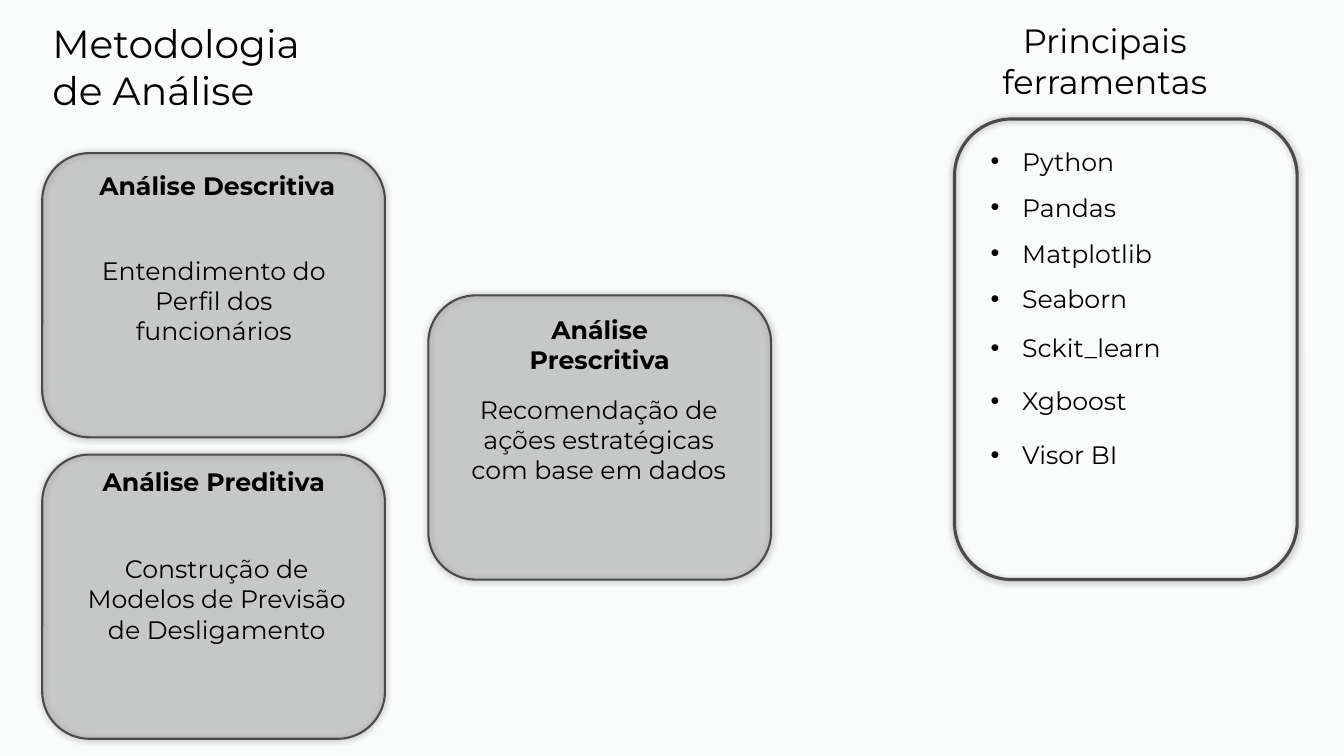
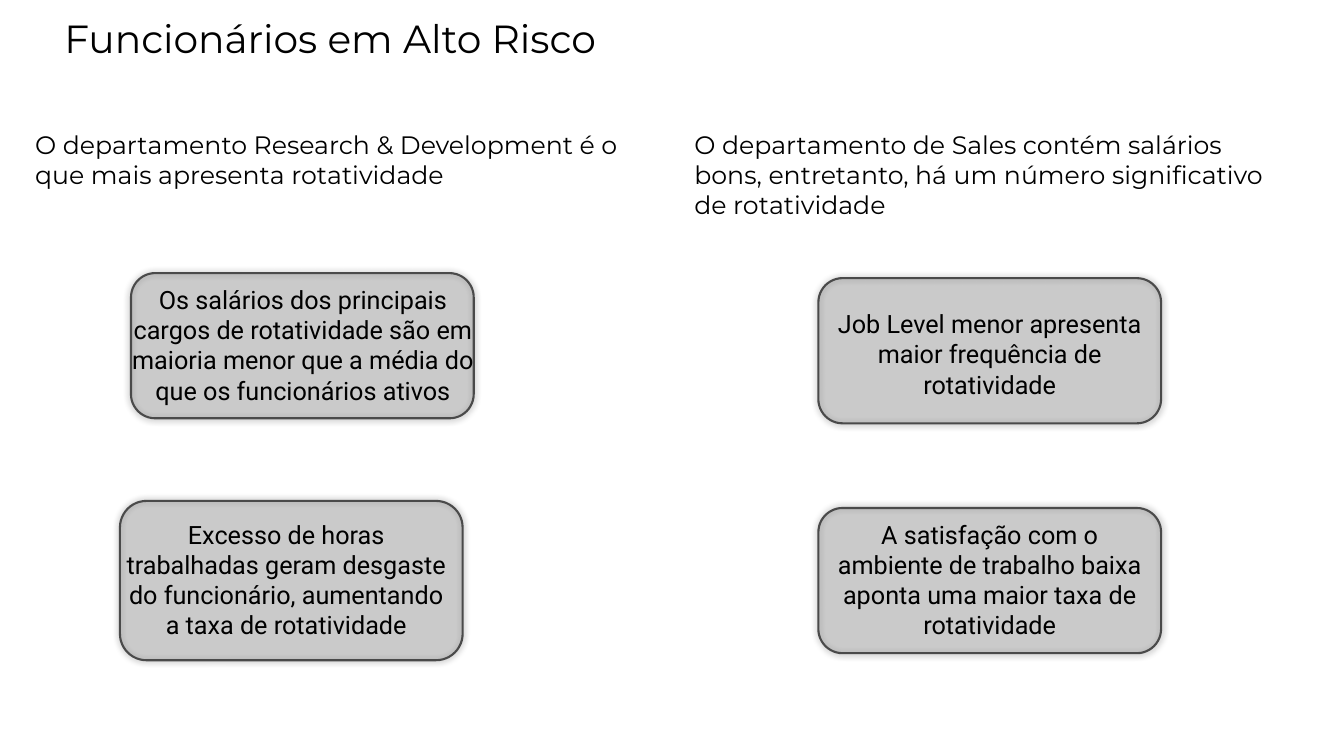
from dataclasses import dataclass
from typing import NamedTuple

from lxml import etree
from pptx import Presentation
from pptx import util as u
from pptx.dml.color import RGBColor
from pptx.enum import shapes, text
from pptx.oxml.ns import qn

SLIDE_WIDTH, SLIDE_HEIGHT = 960, 540
CARD_WIDTH = 244.8
INK, GREY, MIST = "000000", "4A4A4A", "F4F6F7"
TITLE_FONT, CARD_FONT = "Montserrat", "Roboto"
TITLE_SIZE, SUBTITLE_SIZE, BODY_SIZE = 28, 24, 18
BULLET_INDENT = 22.5
LEFT, CENTER = text.PP_ALIGN.LEFT, text.PP_ALIGN.CENTER


class Box(NamedTuple):
    left: float
    top: float
    width: float
    height: float

    def lengths(self) -> tuple:
        return tuple(u.Pt(value) for value in self)


@dataclass(frozen=True)
class Analysis:
    heading: str
    summary: str
    card: Box
    heading_box: Box
    summary_box: Box


@dataclass(frozen=True)
class Finding:
    words: str
    card: Box
    words_box: Box


class Tool(NamedTuple):
    name: str
    gap_before: float


ANALYSES = [
    Analysis("Análise Descritiva", "Entendimento do Perfil dos funcionários",
             Box(30.2, 109.4, CARD_WIDTH, 203),
             Box(60.5, 118.1, 189.4, 29), Box(49.7, 178.6, 206, 72.7)),
    Analysis("Análise Preditiva", "Construção de Modelos de Previsão de Desligamento",
             Box(30.2, 324.7, CARD_WIDTH, 203),
             Box(63.4, 329.8, 178.6, 29), Box(51.8, 391.7, 206, 72.7)),
    Analysis("Análise Prescritiva", "Recomendação de ações estratégicas com base em dados",
             Box(306, 211, CARD_WIDTH, 203),
             Box(334.8, 221, 187.2, 51), Box(324.7, 277.9, 206, 72.7)),
]

TOOLS = [
    Tool("Python", 0), Tool("Pandas", 11.2), Tool("Matplotlib", 11.2),
    Tool("Seaborn", 11.2), Tool("Sckit_learn", 13.3), Tool("Xgboost", 16.2),
    Tool("Visor BI", 16.9),
]

DEPARTMENTS = [
    ("O departamento Research & Development é o que mais apresenta rotatividade",
     Box(18, 88.6, 435.6, 51.1)),
    ("O departamento de Sales contém salários bons, entretanto, "
     "há um número significativo de rotatividade",
     Box(488.9, 88.6, 435.6, 72.7)),
]

FINDINGS = [
    Finding("Os salários dos principais cargos de rotatividade são em maioria menor "
            "que a média do que os funcionários ativos",
            Box(93.6, 195.1, CARD_WIDTH, 103.7), Box(82.1, 199.4, 268.6, 94.3)),
    Finding("A satisfação com o ambiente de trabalho baixa aponta uma maior taxa "
            "de rotatividade",
            Box(584.6, 362.9, CARD_WIDTH, 103.7), Box(584.6, 367.2, CARD_WIDTH, 94.3)),
    Finding("Job Level menor apresenta maior frequência de rotatividade",
            Box(584.6, 198.7, CARD_WIDTH, 103.7), Box(584.6, 216.7, CARD_WIDTH, 72.7)),
    Finding("Excesso de horas trabalhadas geram desgaste do funcionário, aumentando "
            "a taxa de rotatividade",
            Box(85.7, 357.8, CARD_WIDTH, 113.8), Box(82.1, 367.2, CARD_WIDTH, 94.3)),
]


def rgb(color: str) -> RGBColor:
    return RGBColor.from_string(color)


def style_paragraph(para, size: float, font: str = TITLE_FONT,
                    align=LEFT, bold: bool = False) -> None:
    para.alignment = align
    para.font.name = font
    para.font.size = u.Pt(size)
    para.font.bold = bold
    para.font.color.rgb = rgb(INK)


def fit_frame(frame) -> None:
    """Wrap the text and let the box grow with it."""
    frame.word_wrap = True
    frame.auto_size = text.MSO_AUTO_SIZE.SHAPE_TO_FIT_TEXT
    frame.vertical_anchor = text.MSO_ANCHOR.TOP


def add_text(canvas, box: Box, words: str, size: float = BODY_SIZE,
             font: str = TITLE_FONT, align=LEFT, bold: bool = False) -> None:
    frame = canvas.add_textbox(*box.lengths()).text_frame
    fit_frame(frame)
    frame.text = words
    style_paragraph(frame.paragraphs[0], size, font, align, bold)


def fill_translucent(shape, color: str, percent: int) -> None:
    shape.fill.solid()
    shape.fill.fore_color.rgb = rgb(color)
    tint = shape._element.spPr.find(qn("a:solidFill"))[0]
    etree.SubElement(tint, qn("a:alpha"), val=str(percent * 1000))


def add_glow_shadow(shape) -> None:
    """Soft shadow spreading evenly on all sides."""
    shape.shadow.inherit = False
    effects = shape._element.spPr.find(qn("a:effectLst"))
    shadow = etree.SubElement(effects, qn("a:outerShdw"), blurRad=str(u.Pt(5)),
                              dist="0", dir="0", algn="ctr", rotWithShape="0")
    tint = etree.SubElement(shadow, qn("a:srgbClr"), val=INK)
    etree.SubElement(tint, qn("a:alpha"), val="40000")


def add_card(canvas, box: Box, filled: bool = True, line_width: float = 1.5) -> None:
    card = canvas.add_shape(shapes.MSO_SHAPE.ROUNDED_RECTANGLE, *box.lengths())
    if filled:
        fill_translucent(card, GREY, 20)
    else:
        card.fill.background()
    card.line.color.rgb = rgb(GREY)
    card.line.width = u.Pt(line_width)
    add_glow_shadow(card)


def add_titled_slide(deck, words: str, box: Box, align=LEFT):
    page = deck.slides.add_slide(deck.slide_layouts[5])
    title = page.shapes.title
    title.left, title.top, title.width, title.height = box.lengths()
    fit_frame(title.text_frame)
    title.text_frame.text = words
    style_paragraph(title.text_frame.paragraphs[0], TITLE_SIZE, align=align)
    return page


def add_backdrop(page) -> None:
    """Pale veil over the whole slide, behind its title."""
    area = Box(0, 0, SLIDE_WIDTH, SLIDE_HEIGHT)
    veil = page.shapes.add_shape(shapes.MSO_SHAPE.RECTANGLE, *area.lengths())
    fill_translucent(veil, MIST, 40)
    veil.line.fill.background()
    veil.shadow.inherit = False
    page.shapes.title._element.addprevious(veil._element)


def add_tool_list(canvas, box: Box, tools: list[Tool]) -> None:
    frame = canvas.add_textbox(*box.lengths()).text_frame
    fit_frame(frame)
    frame.text = "\n".join(tool.name for tool in tools)
    for para, tool in zip(frame.paragraphs, tools):
        style_paragraph(para, BODY_SIZE)
        para.space_before = u.Pt(tool.gap_before)
        props = para._p.get_or_add_pPr()
        props.set("marL", str(u.Pt(BULLET_INDENT)))
        props.set("indent", str(-u.Pt(BULLET_INDENT)))
        etree.SubElement(props, qn("a:buFont"), typeface="Arial")
        etree.SubElement(props, qn("a:buChar"), char="•")
        # The schema wants the bullet ahead of the default run properties.
        props.append(props.find(qn("a:defRPr")))


def build_methodology(deck) -> None:
    page = add_titled_slide(deck, "Metodologia de Análise", Box(30.2, 10.1, 213.1, 74.9))
    add_backdrop(page)
    canvas = page.shapes
    for analysis in ANALYSES:
        add_card(canvas, analysis.card)
        add_text(canvas, analysis.heading_box, analysis.heading, align=CENTER, bold=True)
        add_text(canvas, analysis.summary_box, analysis.summary, align=CENTER)
    add_text(canvas, Box(665.3, 10.8, 247.7, 65.5), "Principais ferramentas",
             SUBTITLE_SIZE, align=CENTER)
    add_card(canvas, Box(681.8, 85, CARD_WIDTH, 329), filled=False, line_width=2.25)
    add_tool_list(canvas, Box(700.6, 100.8, 149, 241), TOOLS)


def build_high_risk(deck) -> None:
    page = add_titled_slide(deck, "Funcionários em Alto Risco",
                            Box(18, 6.5, 435.6, 41), CENTER)
    for words, box in DEPARTMENTS:
        add_text(page.shapes, box, words)
    for finding in FINDINGS:
        group = page.shapes.add_group_shape()
        add_card(group.shapes, finding.card)
        add_text(group.shapes, finding.words_box, finding.words,
                 font=CARD_FONT, align=CENTER)


def main() -> None:
    deck = Presentation()
    deck.slide_width, deck.slide_height = u.Pt(SLIDE_WIDTH), u.Pt(SLIDE_HEIGHT)
    build_methodology(deck)
    build_high_risk(deck)
    deck.save("out.pptx")


if __name__ == "__main__":
    main()
